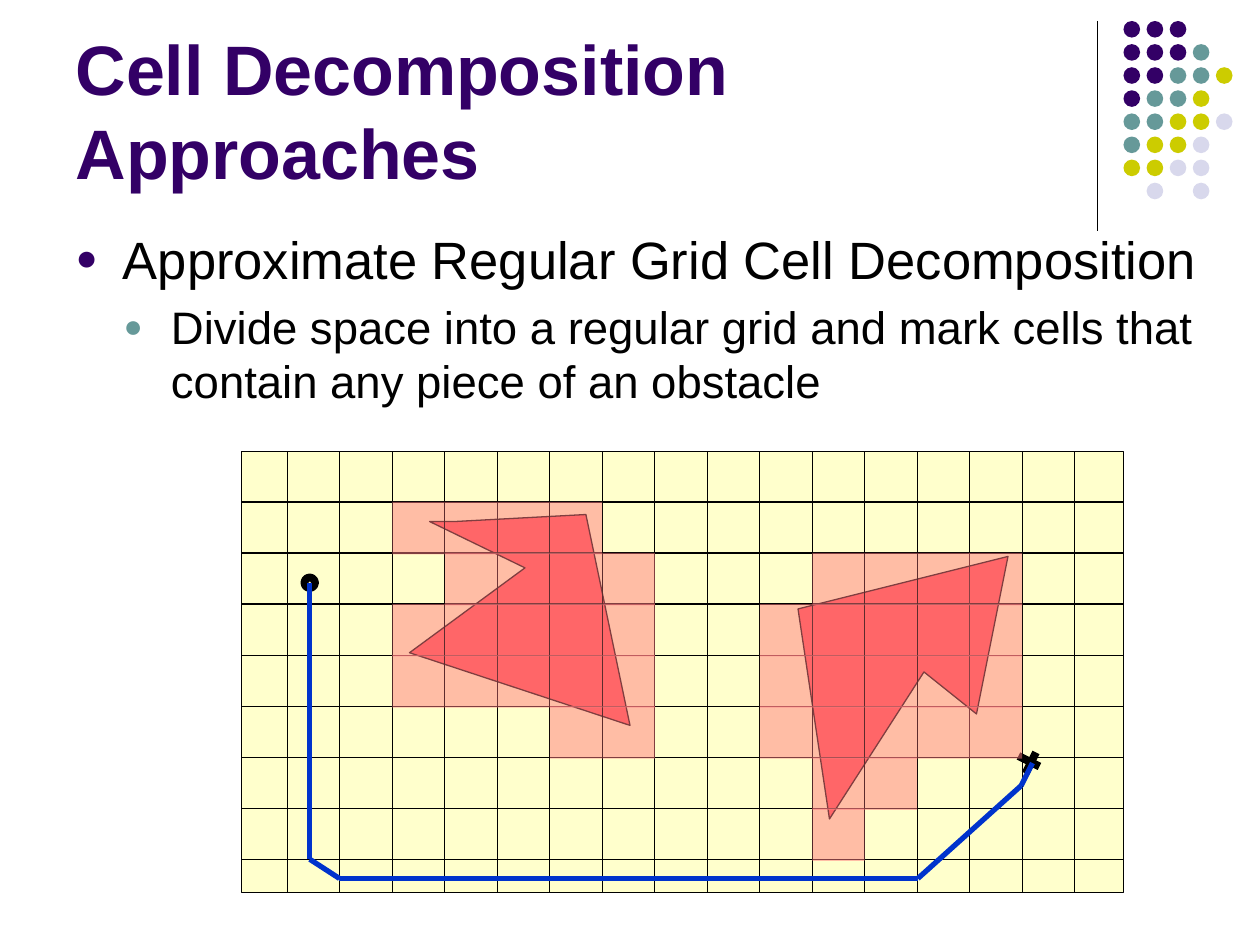
from itertools import pairwise

from lxml import etree
from pptx import Presentation
from pptx import util as u
from pptx.dml import color
from pptx.enum import shapes, text
from pptx.oxml import ns

Pt = u.Pt


def rgb(value):
    return color.RGBColor.from_string(value)


def style(shape, fill, line=None, weight=0.75):
    shape.shadow.inherit = False
    shape.fill.solid()
    shape.fill.fore_color.rgb = rgb(fill)
    if line:
        shape.line.color.rgb = rgb(line)
        shape.line.width = Pt(weight)
    else:
        shape.line.fill.background()


deck = Presentation()
deck.slide_width, deck.slide_height = Pt(720), Pt(540)
slide = deck.slides.add_slide(deck.slide_layouts[1])
canvas = slide.shapes

rules = [((627, 12), (627, 132), "000000", 0.75)]

dot_colors = {"P": "330066", "T": "669999", "Y": "CCCC00", "L": "D8D8EC"}
dot_rows = ["PPP", "PPPT", "PPTTY", "PTTY", "TTYYL", "TYYL", "YYLL", " L L"]
for row, letters in enumerate(dot_rows):
    for column, letter in enumerate(letters):
        if letter in dot_colors:
            dot = canvas.add_shape(shapes.MSO_SHAPE.OVAL, Pt(642 + 13.2 * column),
                                   Pt(12 + 13.2 * row), Pt(9.5), Pt(9.5))
            style(dot, dot_colors[letter])

heading = canvas.title
heading.left, heading.top, heading.width, heading.height = Pt(36), Pt(12), Pt(594), Pt(102)
heading.text_frame.vertical_anchor = text.MSO_ANCHOR.BOTTOM
heading.text_frame.auto_size = text.MSO_AUTO_SIZE.NONE
heading_line = heading.text_frame.paragraphs[0]
heading_line.alignment = text.PP_ALIGN.LEFT
heading_run = heading_line.add_run()
heading_run.text = "Cell Decomposition Approaches"
heading_run.font.name = "Arial"
heading_run.font.size = Pt(40)
heading_run.font.bold = True
heading_run.font.color.rgb = rgb("330066")

points = slide.placeholders[1]
points.left, points.top, points.width, points.height = Pt(36), Pt(126), Pt(672), Pt(174)
points.text_frame.auto_size = text.MSO_AUTO_SIZE.NONE
bullets = [
    ("Approximate Regular Grid Cell Decomposition", 30, "330066"),
    ("Divide space into a regular grid and mark cells that contain any piece of an obstacle",
     26, "669999"),
]
for level, (wording, size, bullet_color) in enumerate(bullets):
    item = points.text_frame.add_paragraph() if level else points.text_frame.paragraphs[0]
    item.level = level
    run = item.add_run()
    run.text = wording
    run.font.name = "Arial"
    run.font.size = Pt(size)
    run.font.color.rgb = rgb("000000")
    props = item._p.get_or_add_pPr()
    props.set("marL", str(Pt(27 + 27.5 * level)))
    props.set("indent", str(Pt(-27)))
    tint = etree.SubElement(props, ns.qn("a:buClr"))
    etree.SubElement(tint, ns.qn("a:srgbClr"), val=bullet_color)
    etree.SubElement(props, ns.qn("a:buSzPct"), val="70000")
    etree.SubElement(props, ns.qn("a:buFont"), typeface="Arial")
    etree.SubElement(props, ns.qn("a:buChar"), char="●")

left, top, right, bottom = 138, 258, 642, 510
space = canvas.add_shape(shapes.MSO_SHAPE.RECTANGLE, Pt(left), Pt(top),
                         Pt(right - left), Pt(bottom - top))
style(space, "FFFFCC", "000000")

obstacles = [
    [(334.8, 294), (260, 298), (245.5, 298), (300, 324.5), (234, 373), (360, 414.5)],
    [(456, 348), (474, 468), (528, 384), (558, 408), (576, 318)],
]
for corners in obstacles:
    outline = canvas.build_freeform(Pt(corners[0][0]), Pt(corners[0][1]), scale=1.0)
    outline.add_line_segments([(Pt(x), Pt(y)) for x, y in corners[1:]], close=True)
    style(outline.convert_to_shape(), "FF5050", "000000")

start = canvas.add_shape(shapes.MSO_SHAPE.OVAL, Pt(174), Pt(330), Pt(6), Pt(6))
style(start, "FFFFCC", "000000", 4.5)

rules += [((582, 432), (594, 438), "000000", 4.5), ((586, 442), (592, 430), "000000", 4.5)]

first_x, cell_width = 164.2, 30
first_y, cell_height = 286.8, 29.2
for column in range(16):
    x = first_x + cell_width * column
    rules.append(((x, top), (x, bottom), "000000", 0.75))
for row in range(8):
    y = first_y + cell_height * row
    rules.append(((left, y), (right, y), "000000", 0.75))

for begin, end, tone, weight in rules:
    rule = canvas.add_connector(shapes.MSO_CONNECTOR.STRAIGHT,
                                Pt(begin[0]), Pt(begin[1]), Pt(end[0]), Pt(end[1]))
    rule.line.color.rgb = rgb(tone)
    rule.line.width = Pt(weight)
    etree.SubElement(rule._element.spPr, ns.qn("a:effectLst"))

marked_columns = [
    [2, 3, 4, 5],
    [3, 4, 5, 6, 10, 11, 12, 13],
    [2, 3, 4, 5, 6, 9, 10, 11, 12, 13],
    [2, 3, 4, 5, 6, 9, 10, 11, 12, 13],
    [5, 6, 9, 10, 11, 12, 13],
    [10, 11],
    [10],
]
for row, columns in enumerate(marked_columns):
    for column in columns:
        cell = canvas.add_shape(shapes.MSO_SHAPE.RECTANGLE,
                                Pt(first_x + cell_width * column),
                                Pt(first_y + cell_height * row), Pt(30), Pt(30))
        style(cell, "FF7C80")
        cell_color = cell._element.spPr.find(".//" + ns.qn("a:srgbClr"))
        etree.SubElement(cell_color, ns.qn("a:alpha"), val="50000")

route = [(177, 333), (177, 343), (177, 491), (194, 502), (524.5, 502), (583.5, 449), (590, 436)]
for begin, end in pairwise(route):
    leg = canvas.add_connector(shapes.MSO_CONNECTOR.STRAIGHT,
                               Pt(begin[0]), Pt(begin[1]), Pt(end[0]), Pt(end[1]))
    leg.line.color.rgb = rgb("0033CC")
    leg.line.width = Pt(3)
    etree.SubElement(leg._element.spPr, ns.qn("a:effectLst"))

deck.save("out.pptx")
